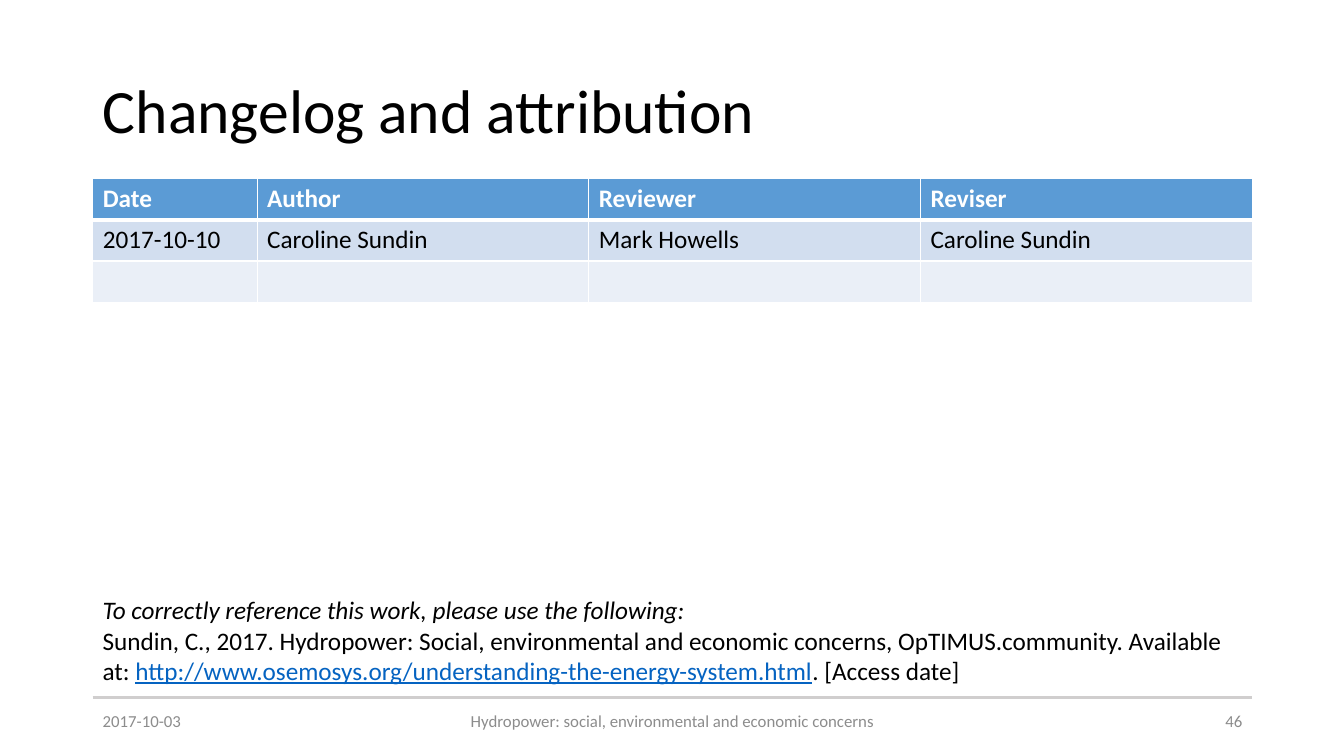
from dataclasses import dataclass

from lxml.etree import SubElement
from pptx import Presentation
from pptx.dml.color import RGBColor as RGB
from pptx.enum.shapes import MSO_CONNECTOR as CONN
from pptx.enum.text import MSO_ANCHOR as ANCHOR, PP_ALIGN as ALIGN
from pptx.oxml.ns import qn
from pptx.util import Pt


@dataclass(frozen=True)
class Theme:
    font: str = "Calibri"
    text: str = "000000"
    white: str = "FFFFFF"
    footer: str = "8C8C8C"
    rule: str = "D0CECE"
    link: str = "0563C1"
    rows: tuple = ("5B9BD5", "D2DEEF", "EAEFF7")
    title_size: int = 44
    body_size: int = 18
    footer_size: int = 12


theme = Theme()
PX = 9144  # 100 px to the inch
LEFT, WIDTH = 92, 1150


def style(font, size, color, bold=False, italic=False):
    font.name, font.size = theme.font, Pt(size)
    font.bold, font.italic = bold, italic
    font.color.rgb = RGB.from_string(color)


def add_text(left, top, width, height):
    tf = s.shapes.add_textbox(left * PX, top * PX, width * PX, height * PX).text_frame
    tf.word_wrap = True
    return tf


prs = Presentation()
prs.slide_width, prs.slide_height = 1333 * PX, 750 * PX
s = prs.slides.add_slide(prs.slide_layouts[5])

# Footer rule
rule = s.shapes.add_connector(CONN.STRAIGHT, LEFT * PX, 692 * PX, (LEFT + WIDTH) * PX, 692 * PX)
rule.line.color.rgb = RGB.from_string(theme.rule)
rule.line.width = Pt(1.5)
SubElement(rule._element.spPr, qn("a:effectLst"))

# Title
title = s.shapes.title
title.left, title.top, title.width, title.height = LEFT * PX, 40 * PX, WIDTH * PX, 145 * PX
tf = title.text_frame
tf.text = "Changelog and attribution"
tf.vertical_anchor = ANCHOR.MIDDLE
p = tf.paragraphs[0]
p.alignment, p.line_spacing = ALIGN.LEFT, 0.9
style(p.runs[0].font, theme.title_size, theme.text)

# Changelog table
changelog = [
    ("Date", "Author", "Reviewer", "Reviser"),
    ("2017-10-10", "Caroline Sundin", "Mark Howells", "Caroline Sundin"),
    ("", "", "", ""),
]
col_widths = (163, 329, 329, 329)
row_height = 41
table = s.shapes.add_table(
    len(changelog), len(col_widths), LEFT * PX, 177 * PX, WIDTH * PX, len(changelog) * row_height * PX
).table
for col, width in zip(table.columns, col_widths):
    col.width = width * PX
for i, entries in enumerate(changelog):
    table.rows[i].height = row_height * PX
    for j, entry in enumerate(entries):
        cell = table.cell(i, j)
        tc_pr = cell._tc.get_or_add_tcPr()
        for side in ("lnL", "lnR", "lnT", "lnB"):
            thick = (i, side) in ((0, "lnB"), (1, "lnT"))
            ln = SubElement(tc_pr, qn(f"a:{side}"), w=str(Pt(3 if thick else 1)))
            SubElement(SubElement(ln, qn("a:solidFill")), qn("a:srgbClr"), val=theme.white)
        cell.fill.solid()
        cell.fill.fore_color.rgb = RGB.from_string(theme.rows[i])
        cell.text = entry
        header = i == 0
        style(cell.text_frame.paragraphs[0].font, theme.body_size,
              theme.white if header else theme.text, bold=header)

# Footer
for left, width, align, text in (
    (LEFT, 300, ALIGN.LEFT, "2017-10-03"),
    (442, 450, ALIGN.CENTER, "Hydropower: social, environmental and economic concerns"),
    (942, 300, ALIGN.RIGHT, "46"),
):
    tf = add_text(left, 695, width, 40)
    tf.vertical_anchor = ANCHOR.MIDDLE
    tf.text = text
    p = tf.paragraphs[0]
    p.alignment = align
    style(p.runs[0].font, theme.footer_size, theme.footer)

# Reference
tf = add_text(LEFT, 590, WIDTH, 93)
tf.margin_top = tf.margin_bottom = 0
tf.text = "To correctly reference this work, please use the following:"
style(tf.paragraphs[0].runs[0].font, theme.body_size, theme.text, italic=True)
p = tf.add_paragraph()
for text, is_link in (
    ("Sundin, C., 2017. Hydropower: Social, environmental and economic concerns, "
     "OpTIMUS.community. Available at: ", False),
    ("http://www.osemosys.org/understanding-the-energy-system.html", True),
    (". [Access date]", False),
):
    r = p.add_run()
    r.text = text
    style(r.font, theme.body_size, theme.link if is_link else theme.text)
    r.font.underline = is_link

prs.save("out.pptx")
